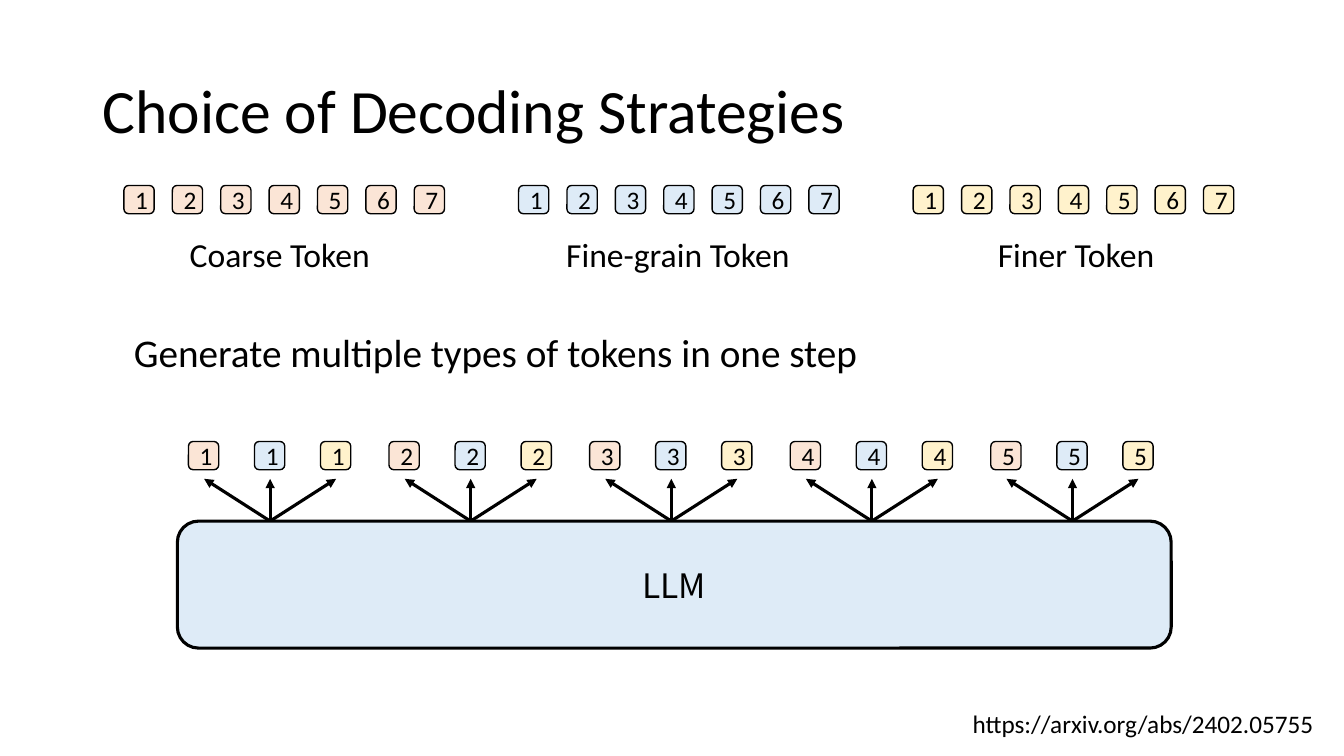
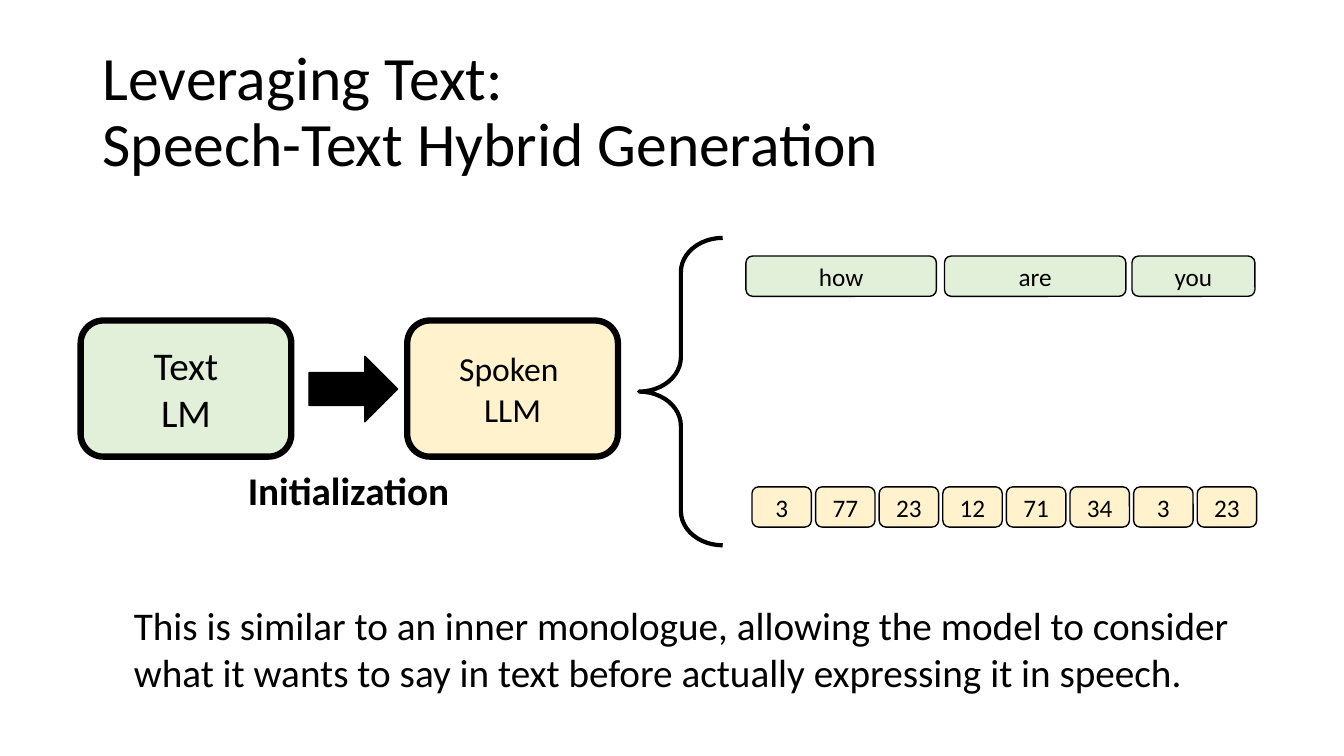
import pptx
import pptx.dml.color
import pptx.enum.shapes
import pptx.enum.text
import pptx.oxml.ns
import pptx.util
from lxml import etree

SHAPES = pptx.enum.shapes.MSO_SHAPE
ALIGN = pptx.enum.text.PP_ALIGN
ANCHOR = pptx.enum.text.MSO_ANCHOR

BLACK = "000000"
ORANGE, BLUE, YELLOW, GREEN = "FBE5D6", "DEEBF7", "FFF2CC", "E2F0D9"


def colour(hex_string):
    return pptx.dml.color.RGBColor.from_string(hex_string)


def grid(cells):
    """Columns and rows are both a tenth of an inch."""
    return pptx.util.Inches(cells / 10)


class Deck:
    """Shared style and the current slide; boxes are (column, row, columns, rows)."""

    font = "Calibri"

    def __init__(self):
        self.presentation = pptx.Presentation()
        self.presentation.slide_width = grid(400 / 3)
        self.presentation.slide_height = grid(75)
        self.slide = None

    def new_slide(self, *title_lines):
        self.slide = self.presentation.slides.add_slide(self.presentation.slide_layouts[6])
        shape = self.text((9.2, 4, 115, 14.5), [], 44)
        shape.text_frame.vertical_anchor = ANCHOR.MIDDLE
        paragraph = shape.text_frame.paragraphs[0]
        paragraph.line_spacing = 0.9
        for index, line in enumerate(title_lines):
            if index:
                paragraph.add_line_break()
            self.add_run(paragraph, line, 44)

    def add_run(self, paragraph, text, size, bold=False, font=None):
        run = paragraph.add_run()
        run.text = text
        run.font.name = font or self.font
        run.font.size = pptx.util.Pt(size)
        run.font.bold = bold
        run.font.color.rgb = colour(BLACK)

    def add_lines(self, shape, lines, size, align, **style):
        frame = shape.text_frame
        frame.word_wrap = True
        for index, line in enumerate(lines):
            paragraph = frame.add_paragraph() if index else frame.paragraphs[0]
            paragraph.alignment = align
            self.add_run(paragraph, line, size, **style)

    def text(self, box, lines, size, align=ALIGN.LEFT, **style):
        shape = self.slide.shapes.add_textbox(*map(grid, box))
        self.add_lines(shape, lines, size, align, **style)
        return shape

    def shape(self, kind, box, fill=None, line_width=1):
        shape = self.slide.shapes.add_shape(kind, *map(grid, box))
        shape.shadow.inherit = False
        if fill:
            shape.fill.solid()
            shape.fill.fore_color.rgb = colour(fill)
        else:
            shape.fill.background()
        shape.line.color.rgb = colour(BLACK)
        shape.line.width = pptx.util.Pt(line_width)
        return shape

    def block(self, box, lines, fill, size=18, line_width=1, **style):
        shape = self.shape(SHAPES.ROUNDED_RECTANGLE, box, fill, line_width)
        shape.text_frame.vertical_anchor = ANCHOR.MIDDLE
        self.add_lines(shape, lines, size, ALIGN.CENTER, **style)

    def token(self, column, row, number, fill):
        self.block((column, row, 3, 2.8), [str(number)], fill)

    def arrow(self, start, end):
        connector = self.slide.shapes.add_connector(
            pptx.enum.shapes.MSO_CONNECTOR.STRAIGHT, *map(grid, start + end))
        connector.line.color.rgb = colour(BLACK)
        connector.line.width = pptx.util.Pt(2.25)
        qn = pptx.oxml.ns.qn
        properties = connector.element.spPr
        etree.SubElement(properties.find(qn("a:ln")), qn("a:tailEnd"), type="triangle")
        etree.SubElement(properties, qn("a:effectLst"))


def decoding_slide(deck):
    deck.new_slide("Choice of Decoding Strategies")
    deck.text((95.5, 69.8, 37.8, 4), ["https://arxiv.org/abs/2402.05755"], 18)

    # Three token sequences with their labels
    fills = (ORANGE, BLUE, YELLOW)
    labels = ("Coarse Token", "Fine-grain Token", "Finer Token")
    for index, (fill, label) in enumerate(zip(fills, labels)):
        for number in range(1, 8):
            deck.token(12.3 + 39.15 * index + 4.8 * (number - 1), 18.4, number, fill)
        deck.text((13.5 + 39.5 * index, 22.7, 28.5, 5), [label], 24, ALIGN.CENTER)

    deck.text((12.3, 32.1, 107.2, 5.7), ["Generate multiple types of tokens in one step"], 28)

    # Each step fans out into one token of every type
    for step in range(5):
        left = 18.7 + 19.9 * step
        for index, fill in enumerate(fills):
            column = left + 6.55 * index
            deck.token(column, 43.8, step + 1, fill)
            deck.arrow((left + 8.1, 51.7), (column + 1.55, 47.5))
    deck.block((17.6, 51.7, 98.6, 12.6), ["LLM"], BLUE, 24, 2.25, font="Noto Sans CJK SC")


def hybrid_slide(deck):
    deck.new_slide("Leveraging Text:", "Speech-Text Hybrid Generation")

    # Speech tokens and text tokens
    for index, number in enumerate((3, 77, 23, 12, 71, 34, 3, 23)):
        deck.block((74.6 + 6.31 * index, 48.3, 5.9, 4), [str(number)], YELLOW)
    for word, column, width in (("how", 74, 18.9), ("are", 93.7, 18), ("you", 112.3, 12.2)):
        deck.block((column, 25.4, width, 4), [word], GREEN)

    # Models and initialization
    deck.block((40.4, 31.8, 20.9, 13.5), ["Spoken ", "LLM"], YELLOW, 24, 4.5)
    brace = deck.shape(SHAPES.LEFT_BRACE, (63.4, 23.6, 8.3, 30.5), line_width=3)
    brace.adjustments[0] = 0.41
    deck.block((8, 31.8, 20.9, 13.5), ["Text", "LM"], GREEN, 28, 4.5)
    deck.shape(SHAPES.RIGHT_ARROW, (30.65, 35.35, 8.8, 6.5), BLACK)
    deck.text((23.6, 45.8, 22.7, 5.7), ["Initialization"], 28, bold=True)

    # Takeaway
    deck.text((12.3, 59.2, 112.3, 10.4), [
        "This is similar to an inner monologue, allowing the model to consider "
        "what it wants to say in text before actually expressing it in speech."], 28)


def main():
    deck = Deck()
    decoding_slide(deck)
    hybrid_slide(deck)
    deck.presentation.save("out.pptx")


if __name__ == "__main__":
    main()
